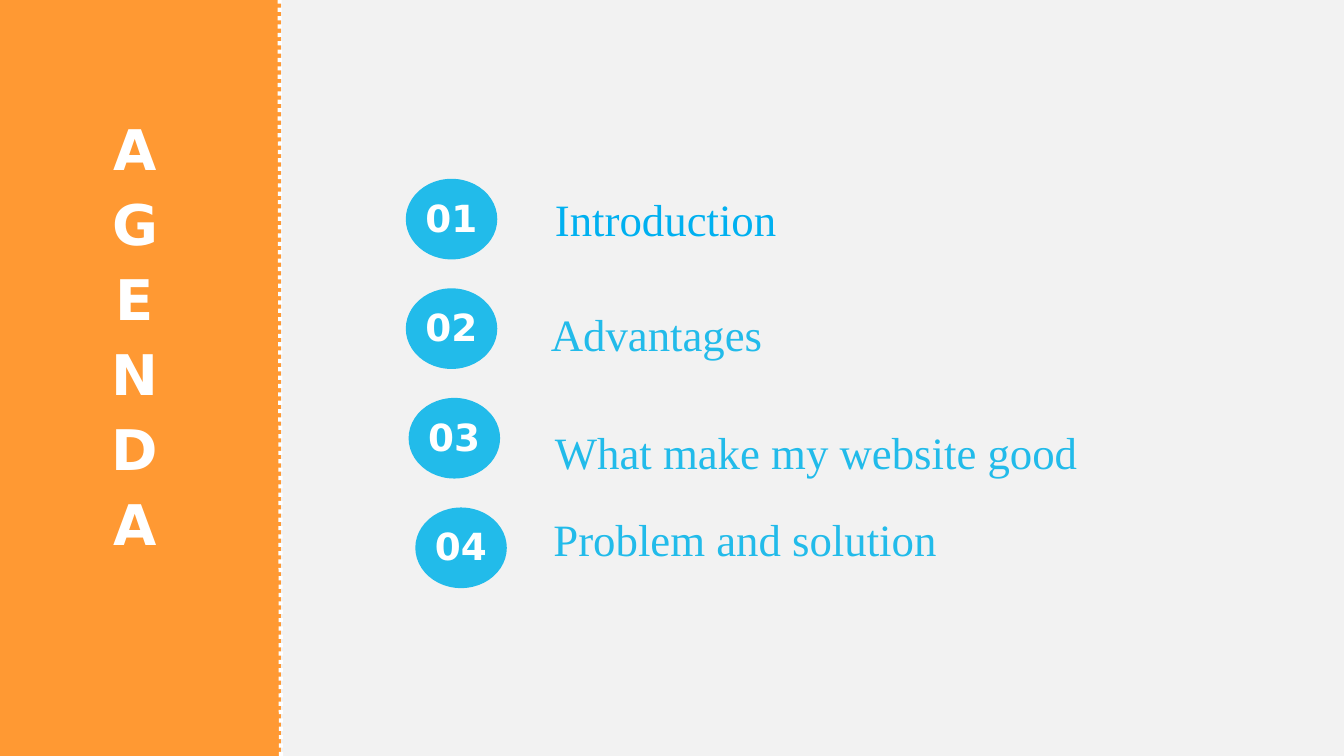
"""Build the agenda slide with a vertical title band and four numbered topics."""
from lxml.etree import SubElement
from pptx import Presentation
from pptx.dml.color import RGBColor
from pptx.enum.dml import MSO_LINE
from pptx.enum.shapes import MSO_CONNECTOR, MSO_SHAPE
from pptx.enum.text import MSO_ANCHOR, PP_ALIGN
from pptx.oxml.ns import qn
from pptx.util import Pt

TITLE = "AGENDA"
TOPICS = [
    {"name": "Introduction", "circle": 217.4, "label": (290.2, 99.4), "color": "00B0F0"},
    {"name": "Advantages", "circle": 217.4, "label": (288, 160.6), "color": "22BBEA"},
    {"name": "What make my website good", "circle": 218.9, "label": (290.2, 223.9), "color": "22BBEA"},
    {"name": "Problem and solution", "circle": 222.5, "label": (289.4, 270.7), "color": "22BBEA"},
]
PAGE_WIDTH, PAGE_HEIGHT = 720, 405
BAND_LEFT, BAND_RIGHT = -6.5, 150.5
CIRCLE_WIDTH, CIRCLE_HEIGHT = 49, 43.2
FIRST_CIRCLE_TOP, CIRCLE_STEP = 95.8, 58.7
NUMBER_WIDTH, NUMBER_HEIGHT = 52, 20
ORANGE, BLUE, WHITE, GRAY = "FF9933", "22BBEA", "FFFFFF", "F2F2F2"


def rgb(value):
    return RGBColor.from_string(value)


def add_text(page, lines, left, top, width, height, *, font, size, color, bold=False,
             align=PP_ALIGN.LEFT, anchor=MSO_ANCHOR.TOP, before=0, after=0):
    box = page.shapes.add_textbox(Pt(left), Pt(top), Pt(width), Pt(height))
    frame = box.text_frame
    frame.word_wrap = True
    frame.vertical_anchor = anchor
    for index, line in enumerate(lines):
        para = frame.paragraphs[0] if index == 0 else frame.add_paragraph()
        para.alignment = align
        para.space_before, para.space_after = Pt(before), Pt(after)
        span = para.add_run()
        span.text = line
        span.font.name, span.font.size, span.font.bold = font, Pt(size), bold
        span.font.color.rgb = rgb(color)


def add_filled(page, kind, left, top, width, height, color):
    shape = page.shapes.add_shape(kind, Pt(left), Pt(top), Pt(width), Pt(height))
    shape.shadow.inherit = False
    shape.fill.solid()
    shape.fill.fore_color.rgb = rgb(color)
    shape.line.fill.background()


def add_band(page):
    add_filled(page, MSO_SHAPE.RECTANGLE, BAND_LEFT, 0, BAND_RIGHT - BAND_LEFT, PAGE_HEIGHT, ORANGE)
    add_text(page, TITLE, 0, 162.7, 144.7, 33.8, font="DejaVu Sans", size=30, color=WHITE,
             bold=True, align=PP_ALIGN.CENTER, anchor=MSO_ANCHOR.MIDDLE, before=4.2)
    edge = page.shapes.add_connector(
        MSO_CONNECTOR.STRAIGHT, Pt(BAND_RIGHT), Pt(PAGE_HEIGHT), Pt(BAND_RIGHT - 0.7), Pt(0))
    edge.line.color.rgb = rgb(WHITE)
    edge.line.width = Pt(2.25)
    edge.line.dash_style = MSO_LINE.ROUND_DOT
    SubElement(edge.element.spPr, qn("a:effectLst"))


def add_topic(page, index, topic):
    left, top = topic["circle"], FIRST_CIRCLE_TOP + index * CIRCLE_STEP
    add_filled(page, MSO_SHAPE.OVAL, left, top, CIRCLE_WIDTH, CIRCLE_HEIGHT, BLUE)
    add_text(page, [f"{index + 1:02d}"], left + (CIRCLE_WIDTH - NUMBER_WIDTH) / 2, top + 10.5,
             NUMBER_WIDTH, NUMBER_HEIGHT, font="DejaVu Sans", size=20, color=WHITE, bold=True,
             align=PP_ALIGN.CENTER, anchor=MSO_ANCHOR.MIDDLE, before=3.2)
    label_left, label_top = topic["label"]
    add_text(page, [topic["name"]], label_left, label_top, PAGE_WIDTH - label_left, 36,
             font="Times New Roman", size=24, color=topic["color"], before=1.2, after=1.2)


def main():
    deck = Presentation()
    deck.slide_width, deck.slide_height = Pt(PAGE_WIDTH), Pt(PAGE_HEIGHT)
    page = deck.slides.add_slide(deck.slide_layouts[6])
    page.background.fill.solid()
    page.background.fill.fore_color.rgb = rgb(GRAY)
    add_band(page)
    for index, topic in enumerate(TOPICS):
        add_topic(page, index, topic)
    deck.save("out.pptx")


if __name__ == "__main__":
    main()
